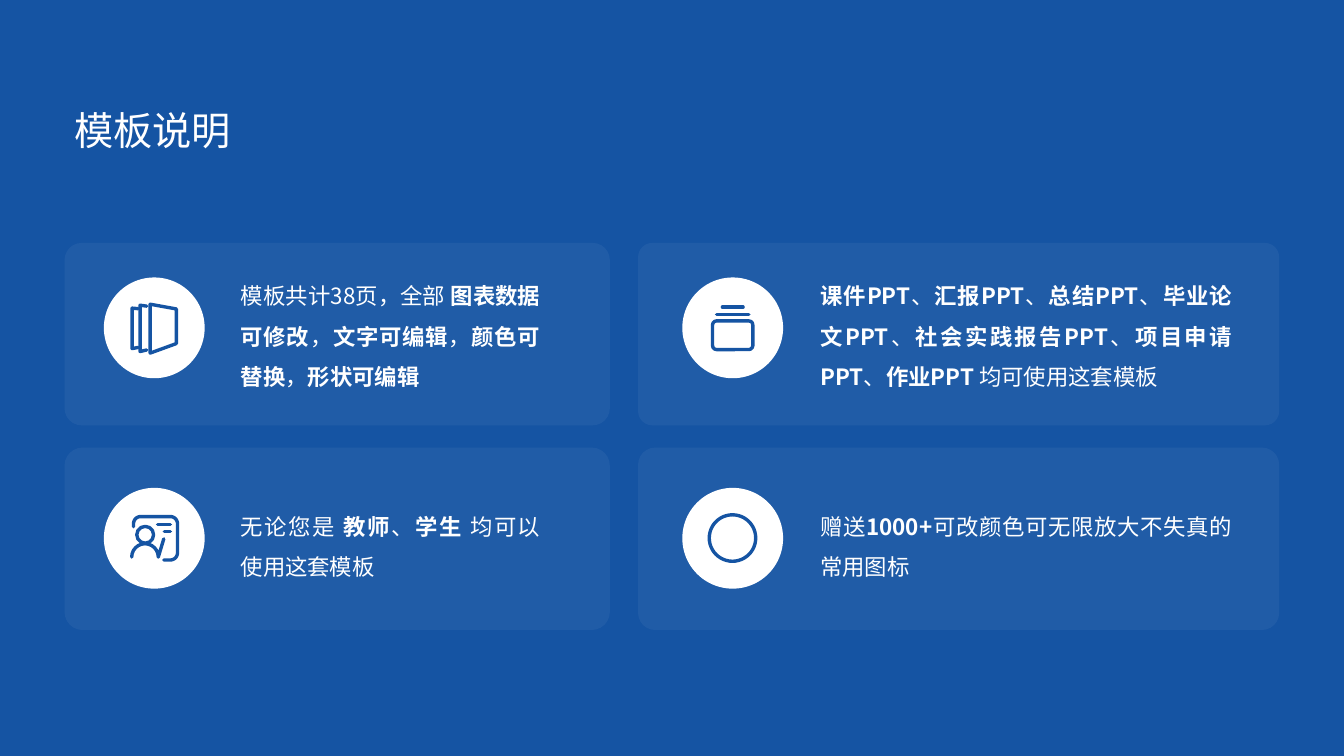
from dataclasses import dataclass
from math import cos, pi, sin

from lxml import etree
from pptx import Presentation
from pptx.dml.color import RGBColor
from pptx.enum.lang import MSO_LANGUAGE_ID
from pptx.enum.shapes import MSO_CONNECTOR, MSO_SHAPE
from pptx.enum.text import MSO_AUTO_SIZE, PP_ALIGN
from pptx.oxml.ns import qn
from pptx.util import Pt

ROUNDED, OVAL = MSO_SHAPE.ROUNDED_RECTANGLE, MSO_SHAPE.OVAL
STRAIGHT = MSO_CONNECTOR.STRAIGHT
LEFT, JUSTIFY = PP_ALIGN.LEFT, PP_ALIGN.JUSTIFY
GROW = MSO_AUTO_SIZE.SHAPE_TO_FIT_TEXT
CHINESE = MSO_LANGUAGE_ID.SIMPLIFIED_CHINESE


@dataclass(frozen=True)
class Theme:
    blue: RGBColor = RGBColor(0x15, 0x54, 0xA3)
    white: RGBColor = RGBColor(0xFF, 0xFF, 0xFF)
    font: str = "Noto Sans CJK SC"
    title_size: float = 28
    body_size: float = 16
    card_opacity: int = 5
    stroke: float = 2.4


def apply(target, values):
    for name, value in values.items():
        setattr(target, name, value)


def arc(center_x, center_y, radius, start, end, steps=12):
    """Points along an arc; angles in degrees, clockwise from the right."""
    angles = [(start + (end - start) * step / steps) * pi / 180 for step in range(steps + 1)]
    return [(center_x + radius * cos(a), center_y + radius * sin(a)) for a in angles]


class SlideWriter:
    def __init__(self, page, theme):
        self.page, self.theme = page, theme
        page.background.fill.solid()
        page.background.fill.fore_color.rgb = theme.blue

    def solid(self, kind, left, top, width, height, opacity=100):
        shape = self.page.shapes.add_shape(kind, Pt(left), Pt(top), Pt(width), Pt(height))
        shape.shadow.inherit = False
        shape.line.fill.background()
        shape.fill.solid()
        shape.fill.fore_color.rgb = self.theme.white
        if opacity < 100:
            color = shape.fill._xPr.find(f".//{qn('a:srgbClr')}")
            etree.SubElement(color, qn("a:alpha"), val=str(opacity * 1000))
        return shape

    def card(self, left, top, width, height, corner):
        shape = self.solid(ROUNDED, left, top, width, height, self.theme.card_opacity)
        shape.adjustments[0] = corner

    def ink(self, shape):
        """Give a shape or connector the rounded icon stroke."""
        shape.line.color.rgb = self.theme.blue
        shape.line.width = Pt(self.theme.stroke)
        line = shape.line._get_or_add_ln()
        line.set("cap", "rnd")
        etree.SubElement(line, qn("a:round"))

    def outline(self, kind, left, top, width, height):
        shape = self.solid(kind, left, top, width, height)
        shape.fill.background()
        self.ink(shape)
        return shape

    def line(self, x1, y1, x2, y2):
        connector = self.page.shapes.add_connector(STRAIGHT, Pt(x1), Pt(y1), Pt(x2), Pt(y2))
        self.ink(connector)
        etree.SubElement(connector._element.spPr, qn("a:effectLst"))

    def stroke(self, origin, points, close=False):
        spots = [(Pt(origin[0] + x), Pt(origin[1] + y)) for x, y in points]
        builder = self.page.shapes.build_freeform(*spots[0], scale=1.0)
        builder.add_line_segments(spots[1:], close=close)
        shape = builder.convert_to_shape()
        shape.shadow.inherit = False
        shape.fill.background()
        self.ink(shape)

    def text(self, box_area, words, size, wrap=True, align=JUSTIFY, spacing=1.5):
        """Write one paragraph; words between asterisks are bold."""
        box = self.page.shapes.add_textbox(*map(Pt, box_area))
        apply(box.text_frame, {"word_wrap": wrap, "auto_size": GROW})
        para = box.text_frame.paragraphs[0]
        apply(para, {"alignment": align, "line_spacing": spacing})
        for index, part in enumerate(words.split("*")):
            if not part:
                continue
            span = para.add_run()
            span.text = part
            span.font.color.rgb = self.theme.white
            apply(span.font, {"name": self.theme.font, "size": Pt(size),
                              "bold": index % 2 == 1, "language_id": CHINESE})
            latin = span.font._element.find(qn("a:latin"))
            latin.addnext(etree.Element(qn("a:ea"), typeface=self.theme.font))


# Icons, each drawn from the top left corner of its disc
def draw_panels(writer, x, y):
    writer.stroke((x, y), [(24.5, 22.3), (20.2, 21.9), (20.2, 50.8), (24.5, 50)])
    writer.stroke((x, y), [(30.6, 20.5), (25.9, 19.8), (25.9, 52.9), (30.6, 51.8)])
    writer.stroke((x, y), [(33.1, 19.1), (51.8, 22.5), (51.8, 47.2), (33.1, 54)], close=True)


def draw_stack(writer, x, y):
    frame = writer.outline(ROUNDED, x + 21.6, y + 31, 28.8, 20.5)
    frame.adjustments[0] = 0.14
    writer.line(x + 24.5, y + 26.3, x + 47.5, y + 26.3)
    writer.line(x + 28.6, y + 21.2, x + 43.4, y + 21.2)


def draw_teacher(writer, x, y):
    board = [(21.2, 27.7), *arc(26.3, 25.6, 5.1, 180, 270), *arc(47.5, 25.6, 5.1, 270, 360),
             *arc(47.5, 46.4, 5.1, 0, 90), (42.8, 51.5)]
    writer.stroke((x, y), board)
    writer.stroke((x, y), arc(29.4, 49.4, 9.5, 180, 360) + [(42.8, 36.4)])
    writer.outline(OVAL, x + 23.5, y + 27.5, 12, 12)
    writer.line(x + 38.4, y + 26.3, x + 47.5, y + 26.3)
    writer.line(x + 43.2, y + 31.3, x + 47.5, y + 31.3)


def draw_ring(writer, x, y):
    writer.outline(OVAL, x + 19.2, y + 19.2, 33.2, 33.2)


# Columns: card left, card width, disc left, text left, text width
COLUMNS = [(46.1, 389.5, 74.2, 164.9, 228.2), (455.8, 457.9, 487.4, 578.9, 308.2)]
# Rows: card top, disc top, text top, text height
ROWS = [(173.5, 198.2, 188.6, 91.4), (319.7, 348.5, 353.5, 61.9)]
CARD_HEIGHT, DISC = 130.3, 72
# Cards: column, row, corner, icon, words
CARDS = [
    (0, 0, 0.094, draw_panels,
     "模板共计38页，全部 *图表数据可修改*，*文字可编辑*，*颜色可替换*，*形状可编辑*"),
    (1, 0, 0.078, draw_stack,
     "*课件PPT*、*汇报PPT*、*总结PPT*、*毕业论文PPT*、*社会实践报告PPT*、"
     "*项目申请PPT*、*作业PPT *均可使用这套模板"),
    (0, 1, 0.099, draw_teacher, "无论您是 *教师*、*学生 *均可以使用这套模板"),
    (1, 1, 0.094, draw_ring, "赠送*1000+*可改颜色可无限放大不失真的常用图标"),
]


def main():
    deck = Presentation()
    deck.slide_width, deck.slide_height = Pt(960), Pt(540)
    theme = Theme()
    writer = SlideWriter(deck.slides.add_slide(deck.slide_layouts[6]), theme)

    # Title
    writer.text((46.1, 72.7, 127.4, 41), "模板说明", theme.title_size,
                wrap=False, align=LEFT, spacing=1.0)

    # Cards
    for column, row, corner, draw_icon, words in CARDS:
        card_left, card_width, disc_left, text_left, text_width = COLUMNS[column]
        card_top, disc_top, text_top, text_height = ROWS[row]
        writer.card(card_left, card_top, card_width, CARD_HEIGHT, corner)
        writer.text((text_left, text_top, text_width, text_height), words, theme.body_size)
        writer.solid(OVAL, disc_left, disc_top, DISC, DISC)
        draw_icon(writer, disc_left, disc_top)

    deck.save("out.pptx")


if __name__ == "__main__":
    main()
